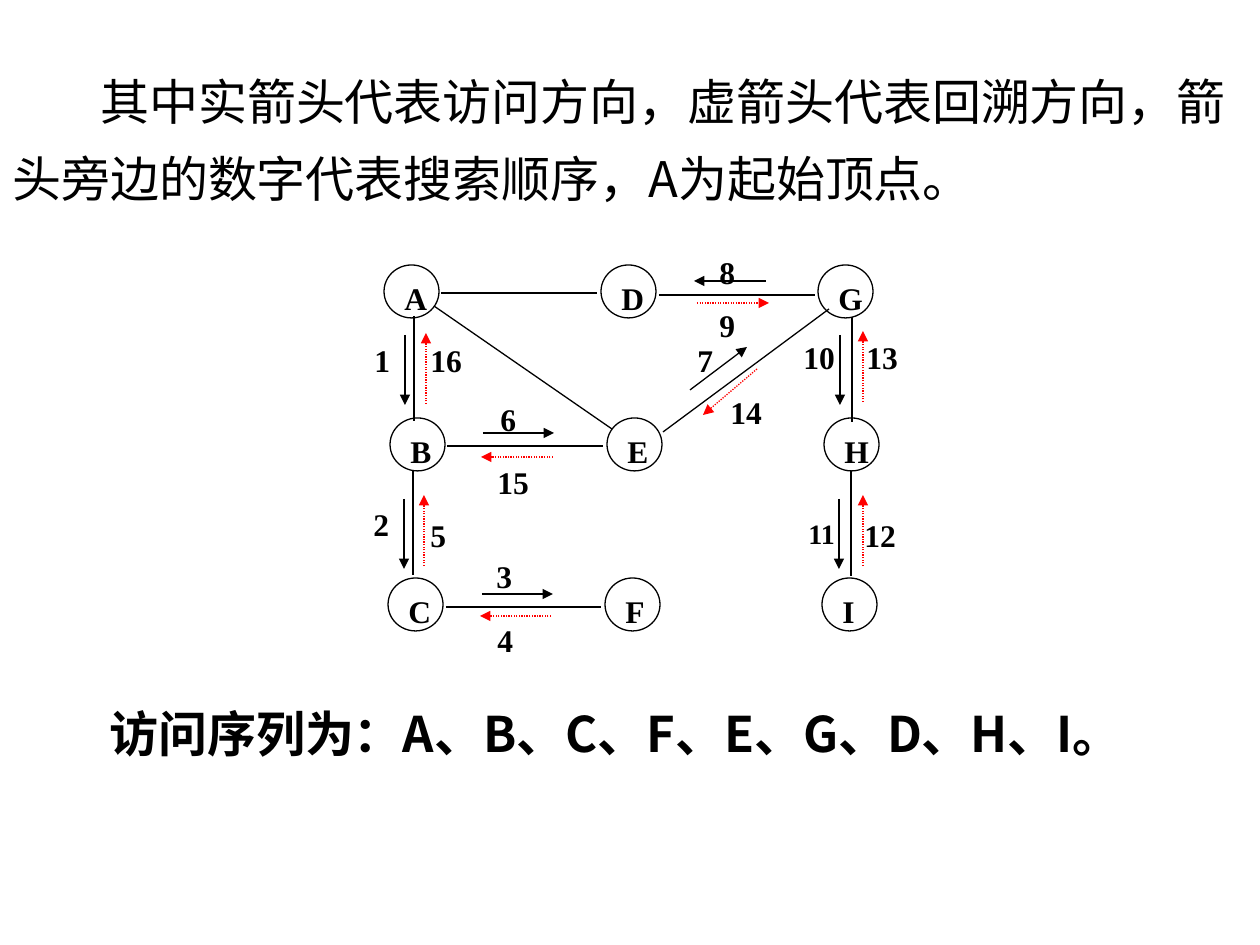
from typing import NamedTuple

from lxml import etree
from pptx import Presentation
from pptx import util as u
from pptx.dml.color import RGBColor
from pptx.enum import dml, shapes, text
from pptx.oxml import ns

PX = 914400 / 126
BLACK = RGBColor(0, 0, 0)
RED = RGBColor(255, 0, 0)
WHITE = RGBColor(255, 255, 255)
SERIF = "Times New Roman"
SANS = "Noto Sans CJK SC"


class Row(NamedTuple):
    names: str
    x: int
    y: int


class Line(NamedTuple):
    x1: int
    y1: int
    x2: int
    y2: int


class Label(NamedTuple):
    text: str
    x: int
    y: int
    w: int = 55
    h: int = 53
    size: int = 18


STEP = 217
ROWS = [Row("ADG", 384, 265), Row("BEH", 390, 418), Row("CFI", 388, 578)]

EDGES = [
    Line(441, 293, 597, 293), Line(659, 295, 815, 295),  # A-D, D-G
    Line(447, 446, 603, 446), Line(446, 607, 601, 607),  # B-E, C-F
    Line(414, 316, 414, 421), Line(852, 317, 852, 422),  # A-B, G-H
    Line(413, 470, 413, 575), Line(851, 471, 851, 576),  # B-C, H-I
    Line(663, 432, 829, 309), Line(434, 306, 612, 429),  # E-G, A-E
]
VISITS = [
    Line(405, 335, 405, 405), Line(404, 499, 404, 569),
    Line(840, 335, 840, 405), Line(839, 499, 839, 569),
    Line(483, 433, 554, 433), Line(482, 594, 553, 594),
    Line(690, 390, 747, 347), Line(766, 281, 694, 281),
]
RETURNS = [
    Line(553, 457, 481, 457), Line(551, 616, 480, 616),
    Line(863, 566, 863, 495), Line(863, 402, 863, 331),
    Line(424, 566, 424, 495), Line(426, 404, 426, 333),
    Line(697, 303, 769, 303), Line(757, 369, 703, 415),
]
LABELS = [
    Label("1", 362, 335), Label("2", 361, 499), Label("3", 484, 551),
    Label("4", 485, 615), Label("5", 418, 510), Label("6", 488, 394),
    Label("7", 685, 335), Label("8", 707, 247), Label("9", 707, 300),
    Label("10", 791, 332, 60), Label("11", 796, 510, size=16),
    Label("12", 852, 510, 66), Label("13", 854, 332, 63),
    Label("14", 718, 387, 73, 39), Label("15", 485, 457, 76),
    Label("16", 418, 335, 69, 49),
]


def px(*vals: int) -> list[u.Emu]:
    return [u.Emu(round(v * PX)) for v in vals]


def write(shape, words: str, size: int, face: str, bold: bool, **form):
    """Fill a shape with one paragraph; form holds paragraph settings."""
    frame = shape.text_frame
    frame.word_wrap = True
    frame.vertical_anchor = text.MSO_ANCHOR.TOP
    para = frame.paragraphs[0]
    for key, val in form.items():
        setattr(para, key, val)
    run = para.add_run()
    run.text = words
    for key, val in {"size": u.Pt(size), "name": face, "bold": bold}.items():
        setattr(run.font, key, val)
    run.font.color.rgb = BLACK
    east = etree.SubElement(run.font._element, ns.qn("a:ea"))
    east.set("typeface", face)
    return para


def draw_node(slide, name: str, x: int, y: int) -> None:
    node = slide.shapes.add_shape(shapes.MSO_SHAPE.OVAL, *px(x, y, 55, 53))
    node.shadow.inherit = False
    node.fill.solid()
    node.fill.fore_color.rgb = WHITE
    node.line.color.rgb = BLACK
    node.line.width = u.Pt(0.75)
    write(node, name, 18, SERIF, True, alignment=text.PP_ALIGN.JUSTIFY)


def draw_line(slide, line: Line, color: RGBColor = BLACK,
              arrow: bool = False, dots: bool = False) -> None:
    link = slide.shapes.add_connector(shapes.MSO_CONNECTOR.STRAIGHT, *px(*line))
    link.line.color.rgb = color
    link.line.width = u.Pt(0.75)
    if dots:
        link.line.dash_style = dml.MSO_LINE.ROUND_DOT
    props = link._element.spPr
    if arrow:
        tail = etree.SubElement(props.find(ns.qn("a:ln")), ns.qn("a:tailEnd"))
        tail.set("type", "triangle")
    etree.SubElement(props, ns.qn("a:effectLst"))


def draw_label(slide, tag: Label) -> None:
    box = slide.shapes.add_textbox(*px(tag.x, tag.y, tag.w, tag.h))
    write(box, tag.text, tag.size, SERIF, True,
          alignment=text.PP_ALIGN.JUSTIFY)


def main() -> None:
    deck = Presentation()
    deck.slide_width, deck.slide_height = px(1260, 945)
    slide = deck.slides.add_slide(deck.slide_layouts[6])

    # Explanation with an indented first line
    intro = slide.shapes.add_textbox(*px(0, 48, 1260, 166))
    para = write(
        intro,
        "其中实箭头代表访问方向，虚箭头代表回溯方向，箭头旁边的数字代表搜索顺序，A为起始顶点。",
        28, SANS, False, line_spacing=1.3, space_before=u.Pt(17.5))
    para._p.get_or_add_pPr().set("indent", str(px(88)[0]))

    # Graph
    for row in ROWS:
        for i, name in enumerate(row.names):
            draw_node(slide, name, row.x + i * STEP, row.y)
    for line in EDGES:
        draw_line(slide, line)

    # Search order
    for line in VISITS:
        draw_line(slide, line, arrow=True)
    for line in RETURNS:
        draw_line(slide, line, RED, arrow=True, dots=True)
    for tag in LABELS:
        draw_label(slide, tag)

    # Resulting sequence
    order = slide.shapes.add_textbox(*px(97, 697, 1040, 131))
    write(order, "访问序列为：A、B、C、F、E、G、D、H、I。", 28, SANS, True,
          space_before=u.Pt(17.5))

    deck.save("out.pptx")


if __name__ == "__main__":
    main()
